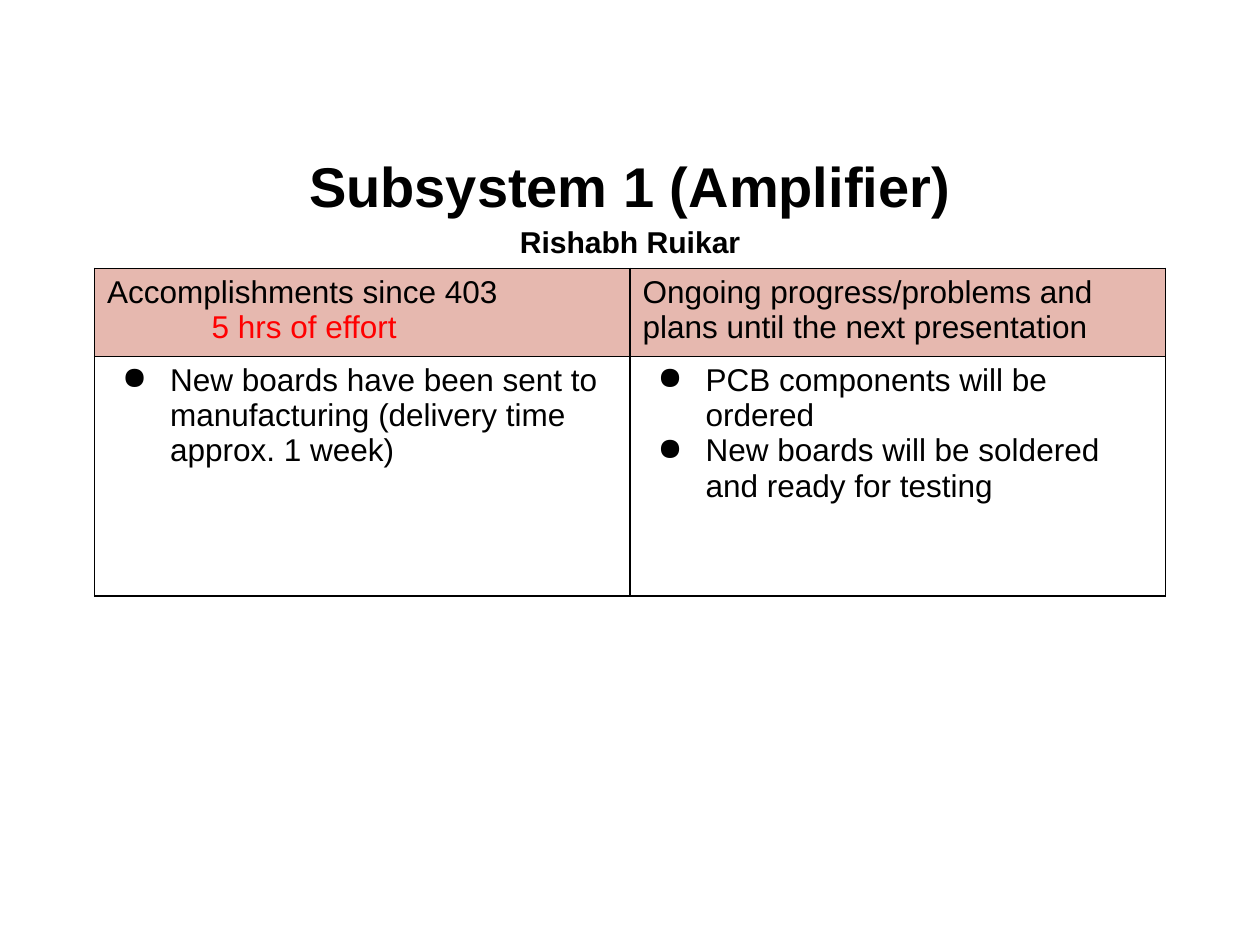
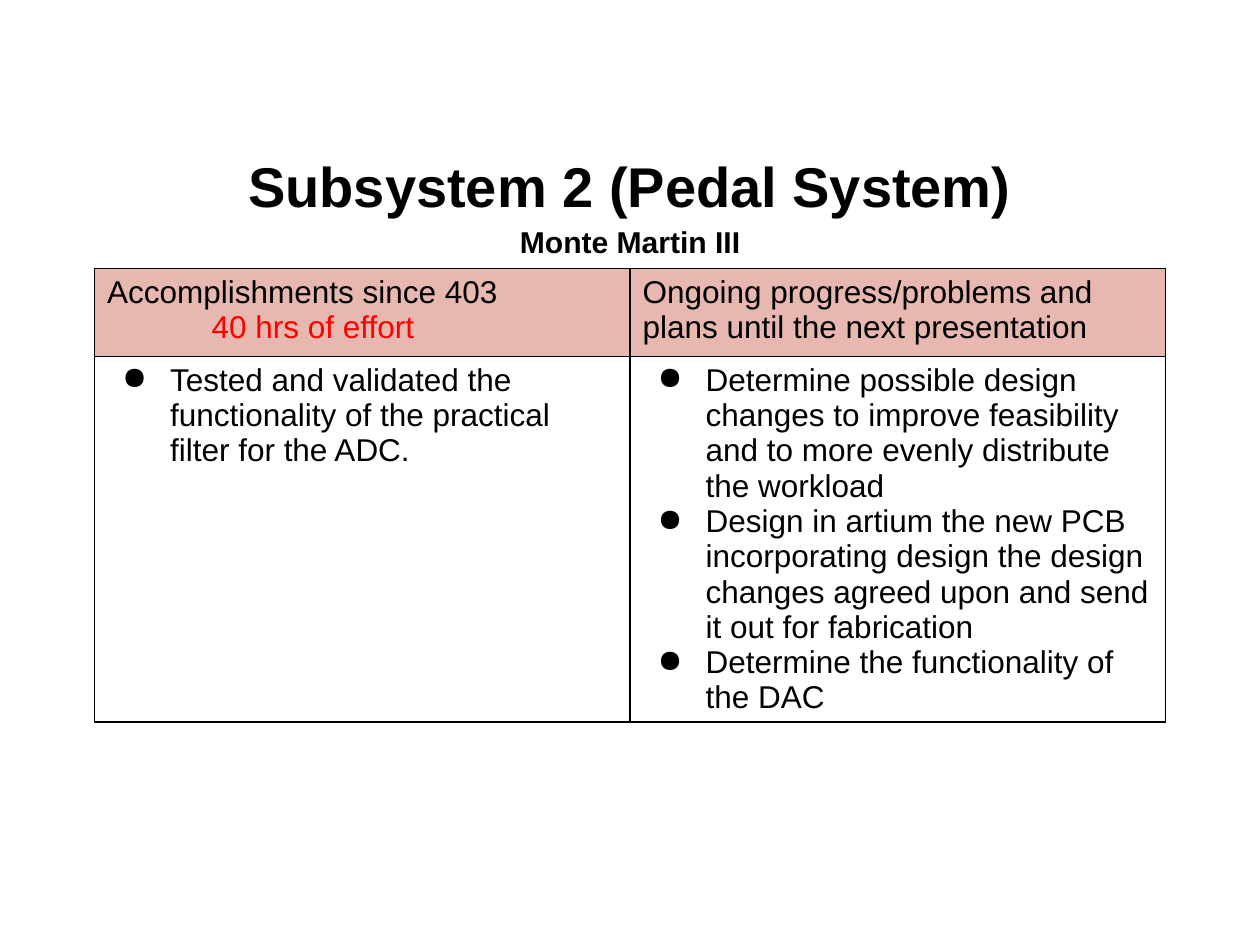
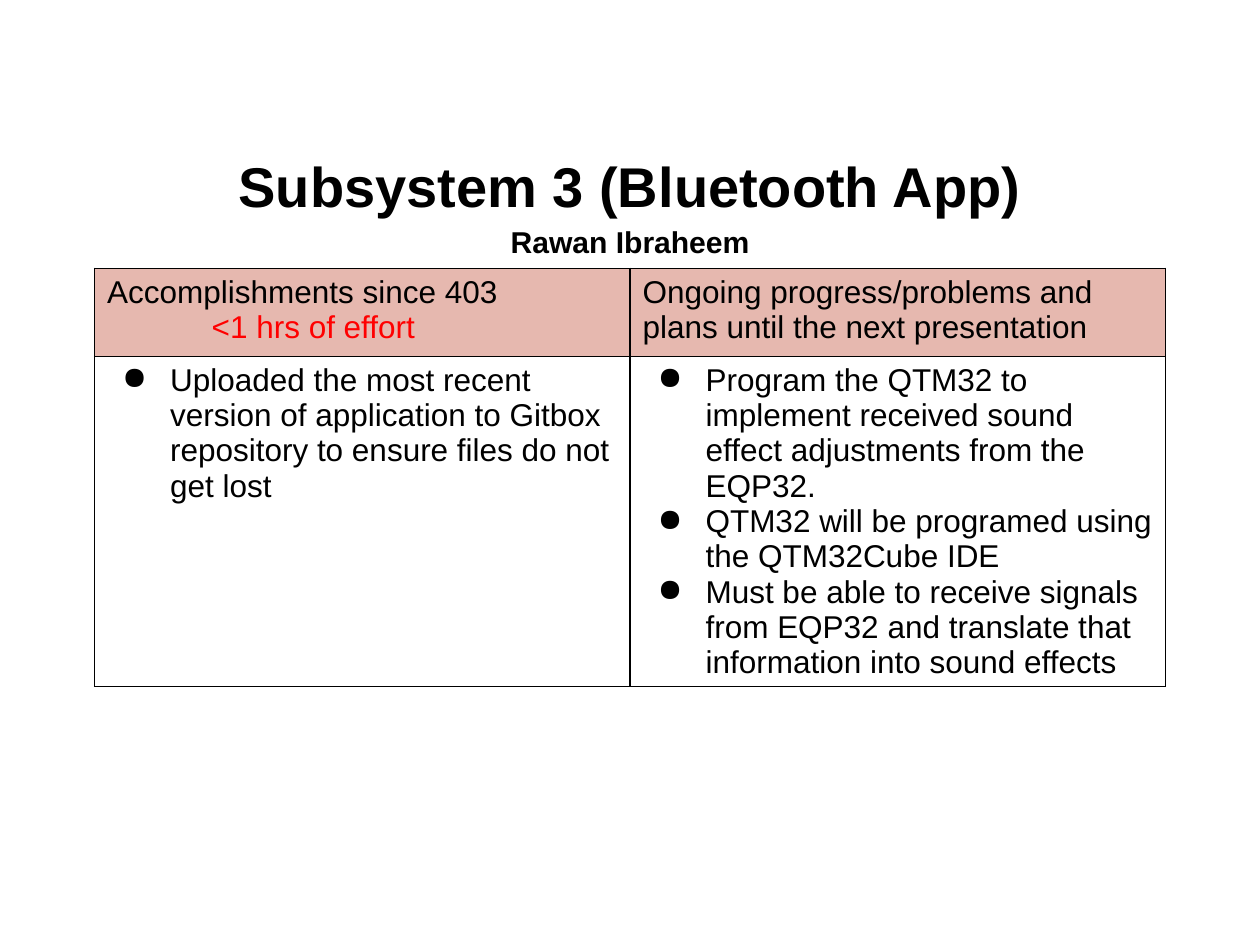
import pptx
import pptx.util
import pptx.dml.color
import pptx.enum.text
import pptx.oxml
import pptx.oxml.ns

FONT = "Arial"
INK, RED, HEADER_FILL = "000000", "FF0000", "E6B8AF"
HEADINGS = (
    "Accomplishments since 403",
    "Ongoing progress/problems and plans until the next presentation",
)
SUBSYSTEMS = [
    {
        "title": "Subsystem 1 (Amplifier)",
        "owner": "Rishabh Ruikar",
        "effort": "5 hrs of effort",
        "done": ["New boards have been sent to manufacturing (delivery time approx. 1 week)"],
        "plans": [
            "PCB components will be ordered",
            "New boards will be soldered and ready for testing",
        ],
    },
    {
        "title": "Subsystem 2 (Pedal System)",
        "owner": "Monte Martin III",
        "effort": "40 hrs of effort",
        "done": ["Tested and validated the functionality of the practical filter for the ADC."],
        "plans": [
            "Determine possible design changes to improve feasibility and to more evenly "
            "distribute the workload",
            "Design in artium the new PCB incorporating design the design changes agreed "
            "upon and send it out for fabrication",
            "Determine the functionality of the DAC",
        ],
    },
    {
        "title": "Subsystem 3 (Bluetooth App)",
        "owner": "Rawan Ibraheem",
        "effort": "<1 hrs of effort",
        "done": [
            "Uploaded the most recent version of application to Gitbox repository to "
            "ensure files do not get lost"
        ],
        "plans": [
            "Program the QTM32 to implement received sound effect adjustments from the EQP32.",
            "QTM32 will be programed using the QTM32Cube IDE",
            "Must be able to receive signals from EQP32 and translate that information "
            "into sound effects",
        ],
    },
]

WIDTH, HEIGHT = pptx.util.Inches(10), pptx.util.Inches(7.5)
TITLE_MARGIN, TABLE_MARGIN = 0.05 * WIDTH, 0.075 * WIDTH
TITLE_TOP, TITLE_HEIGHT = pptx.util.Inches(1.15), pptx.util.Inches(0.88)
TABLE_TOP = pptx.util.Inches(2.13)
ROW_HEIGHTS = (pptx.util.Inches(0.7), pptx.util.Inches(1.9))


def color(value):
    return pptx.dml.color.RGBColor.from_string(value)


def add_text(frame, text, size=18, ink=INK, bold=False, align=None, spacing=None,
             left=0, hanging=0, bullet=None):
    paragraph = frame.paragraphs[0] if not frame.text else frame.add_paragraph()
    paragraph.alignment = align
    paragraph.line_spacing = spacing
    run = paragraph.add_run()
    run.text = text
    run.font.name, run.font.size, run.font.bold = FONT, pptx.util.Pt(size), bold
    run.font.color.rgb = color(ink)
    if left:
        properties = paragraph._p.get_or_add_pPr()
        properties.set("marL", str(pptx.util.Inches(left)))
        properties.set("indent", str(-pptx.util.Inches(hanging)))
        if bullet:
            properties.append(pptx.oxml.parse_xml(
                f'<a:buChar {pptx.oxml.ns.nsdecls("a")} char="{bullet}"/>'))


def add_borders(cell):
    properties = cell._tc.get_or_add_tcPr()
    for side in "LRTB":
        properties.append(pptx.oxml.parse_xml(
            f'<a:ln{side} {pptx.oxml.ns.nsdecls("a")} w="{pptx.util.Pt(1)}">'
            f'<a:solidFill><a:srgbClr val="{INK}"/></a:solidFill></a:ln{side}>'))


def add_title(slide, subsystem):
    title = slide.shapes.title
    title.left, title.top = int(TITLE_MARGIN), TITLE_TOP
    title.width, title.height = int(WIDTH - 2 * TITLE_MARGIN), TITLE_HEIGHT
    frame = title.text_frame
    frame.auto_size = pptx.enum.text.MSO_AUTO_SIZE.NONE
    frame.vertical_anchor = pptx.enum.text.MSO_ANCHOR.MIDDLE
    for text, size in ((subsystem["title"], 32), (subsystem["owner"], 17.2)):
        add_text(frame, text, size=size, bold=True, spacing=1.15,
                 align=pptx.enum.text.PP_ALIGN.CENTER)


def add_status_table(slide, subsystem):
    table = slide.shapes.add_table(
        len(ROW_HEIGHTS), len(HEADINGS), int(TABLE_MARGIN), TABLE_TOP,
        int(WIDTH - 2 * TABLE_MARGIN), sum(ROW_HEIGHTS)).table
    table.first_row = table.horz_banding = False
    for row, height in zip(table.rows, ROW_HEIGHTS):
        row.height = height
    for cell in table.iter_cells():
        add_borders(cell)
        cell.fill.background()
    for column, (heading, key) in enumerate(zip(HEADINGS, ("done", "plans"))):
        header, body = table.cell(0, column), table.cell(1, column)
        header.fill.solid()
        header.fill.fore_color.rgb = color(HEADER_FILL)
        add_text(header.text_frame, heading)
        for item in subsystem[key]:
            add_text(body.text_frame, item, left=0.5, hanging=0.38, bullet="●")
    add_text(table.cell(0, 0).text_frame, subsystem["effort"], ink=RED, left=0.83)


def main():
    presentation = pptx.Presentation()
    presentation.slide_width, presentation.slide_height = WIDTH, HEIGHT
    title_only = presentation.slide_layouts.get_by_name("Title Only")
    for subsystem in SUBSYSTEMS:
        slide = presentation.slides.add_slide(title_only)
        add_title(slide, subsystem)
        add_status_table(slide, subsystem)
    presentation.save("out.pptx")


if __name__ == "__main__":
    main()
